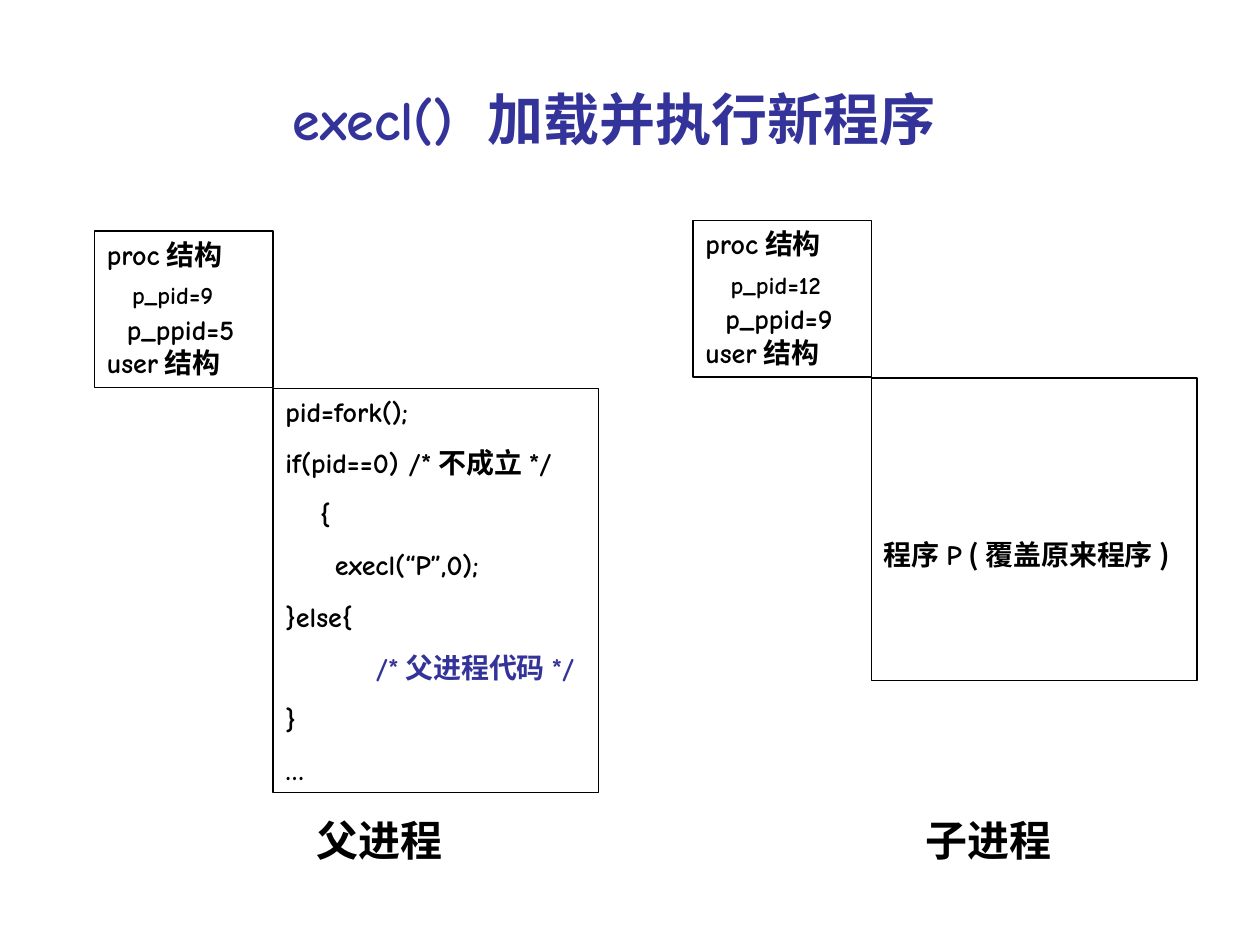
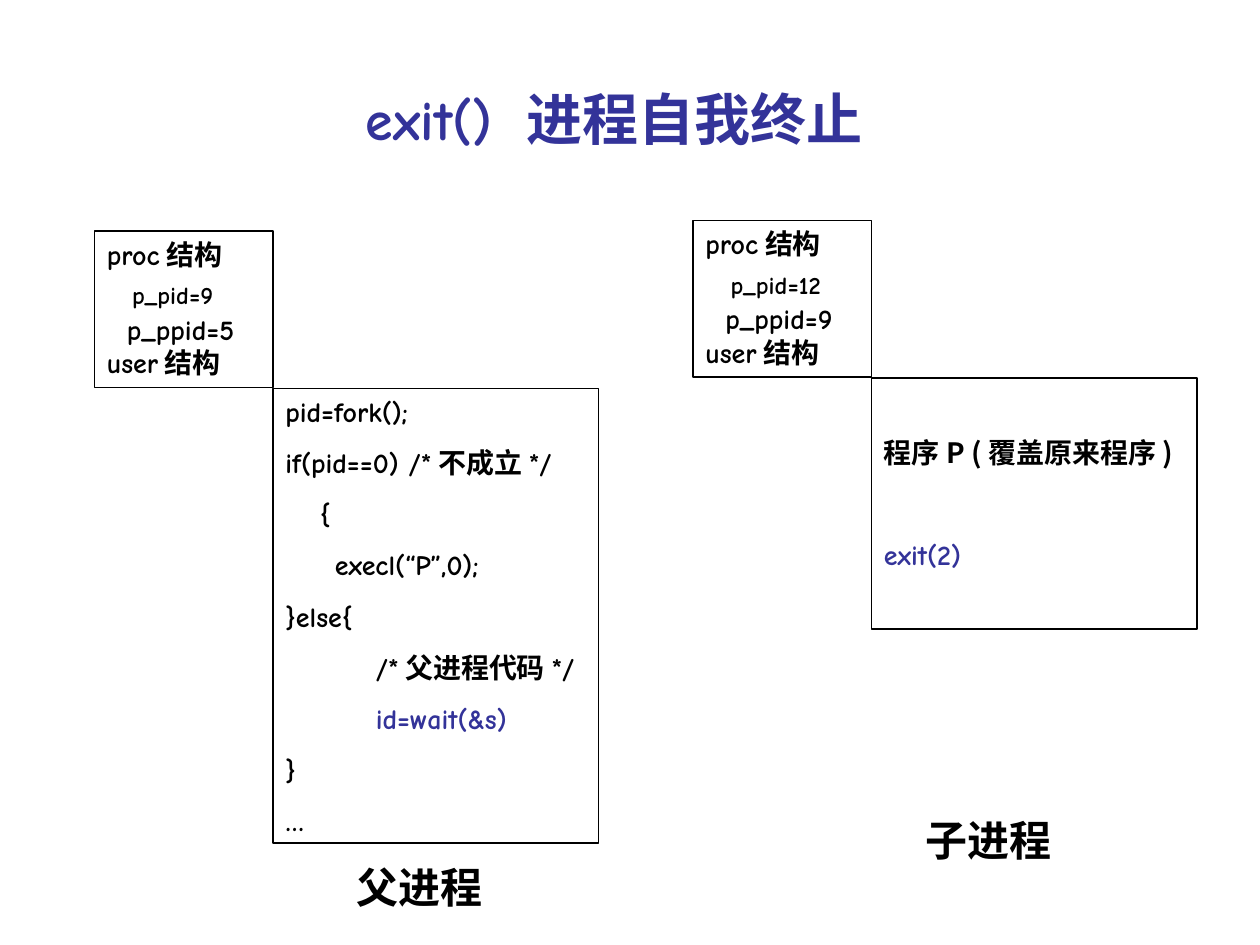
from dataclasses import dataclass

from pptx import Presentation
from pptx.dml.color import RGBColor
from pptx.enum.shapes import MSO_SHAPE
from pptx.enum.text import MSO_ANCHOR, PP_ALIGN
from pptx.util import Inches, Pt


@dataclass(frozen=True)
class Theme:
    ink: RGBColor = RGBColor(0x00, 0x00, 0x00)
    accent: RGBColor = RGBColor(0x33, 0x33, 0x99)
    latin: str = "Comic Neue"
    chinese: str = "Noto Sans CJK SC"
    serif: str = "Times New Roman"
    title_size: int = 32
    label_size: int = 24
    body_size: int = 16
    small_size: int = 14
    outline: float = 0.75


theme = Theme()

presentation = Presentation()
presentation.slide_width = Inches(10)
presentation.slide_height = Inches(7.5)
unit = presentation.slide_width / 120  # the slide is a grid of 120 columns by 90 rows

LINE_GAP = 10  # points between lines of code
LINE_PITCH = 29.2  # points from one line of code to the next
BOX_WIDTH, BODY_WIDTH = 17, 31
BOX_HEIGHT = 14.9
BODY_DROP = 15  # rows from the top of a structure box to its program box


def add_box(slide, left, top, width, height, outlined=True):
    """Place an empty rectangle or text box by grid columns and rows; return its shape."""
    place = [round(value * unit) for value in (left, top, width, height)]
    if outlined:
        shape = slide.shapes.add_shape(MSO_SHAPE.RECTANGLE, *place)
        shape.shadow.inherit = False
        shape.fill.background()
        shape.line.color.rgb = theme.ink
        shape.line.width = Pt(theme.outline)
    else:
        shape = slide.shapes.add_textbox(*place)
    shape.text_frame.word_wrap = True
    shape.text_frame.vertical_anchor = MSO_ANCHOR.TOP
    return shape


def add_line(shape, runs, size=theme.body_size, gap=0, indent=0, align=PP_ALIGN.LEFT):
    """Add a paragraph of (text, font, colour) runs, reusing the empty first paragraph."""
    frame = shape.text_frame
    paragraph = frame.paragraphs[0]
    if paragraph.runs:
        paragraph = frame.add_paragraph()
        paragraph.space_before = Pt(gap)
    paragraph.alignment = align
    if indent:
        paragraph._p.get_or_add_pPr().set("marL", str(Inches(indent)))
    for text, font, colour in runs:
        run = paragraph.add_run()
        run.text = text
        run.font.name = font
        run.font.size = Pt(size)
        run.font.bold = True
        run.font.color.rgb = colour


code_start = [
    ("pid=fork();", theme.ink),
    ("if(pid==0) /*不成立*/", theme.ink),
    ("　{", theme.ink),
    ("     execl(“P”,0);", theme.ink),
    ("}else{", theme.ink),
]
code_end = [("}", theme.ink), ("…", theme.ink)]

slides = [
    {
        "title": ("execl() ", "加载并执行新程序"),
        "parent_code": [("　　　/*父进程代码*/", theme.accent)],
        "parent_height": 38.5,
        "parent_label": (29, 77),
        "child_height": 28.8,
        "child_skip": 3,
        "child_lines": [
            [
                ("程序", theme.chinese, theme.ink),
                ("P", theme.latin, theme.ink),
                (" (覆盖原来程序)", theme.chinese, theme.ink),
            ]
        ],
    },
    {
        "title": ("exit() ", "进程自我终止"),
        "parent_code": [
            ("　　　/*父进程代码*/", theme.ink),
            ("　　　id=wait(&s)", theme.accent),
        ],
        "parent_height": 43.3,
        "parent_label": (32.8, 81.5),
        "child_height": 23.9,
        "child_skip": 1,
        "child_lines": [
            [("程序P (覆盖原来程序)", theme.chinese, theme.ink)],
            [("exit(2)", theme.latin, theme.accent)],
        ],
    },
]

processes = [(9, 22, 9, 5), (66, 21, 12, 9)]  # left, top, own id, parent's id

for content in slides:
    slide = presentation.slides.add_slide(presentation.slide_layouts[6])

    # Program boxes, each hanging from the lower right corner of its structure box
    body_heights = (content["parent_height"], content["child_height"])
    parent_body, child_body = [
        add_box(slide, left + BOX_WIDTH, top + BODY_DROP, BODY_WIDTH, height)
        for (left, top, _, _), height in zip(processes, body_heights)
    ]
    for text, colour in code_start + content["parent_code"] + code_end:
        add_line(parent_body, [(text, theme.latin, colour)], gap=LINE_GAP)

    child_body.text_frame.margin_top = Inches(0.05) + Pt(content["child_skip"] * LINE_PITCH)
    for runs in content["child_lines"]:
        add_line(child_body, runs, gap=LINE_GAP + LINE_PITCH)

    # Process structures
    for left, top, process_id, parent_id in processes:
        structure = add_box(slide, left, top, BOX_WIDTH, BOX_HEIGHT)
        for text, size, gap, indent in (
            ("proc结构", theme.body_size, 0, 0),
            (f"p_pid={process_id}", theme.small_size, 5.5, 0.2),
            (f"p_ppid={parent_id}", theme.body_size, 1.5, 0.16),
            ("user结构", theme.body_size, 0, 0),
        ):
            add_line(structure, [(text, theme.latin, theme.ink)], size, gap, indent)

    # Process names and title
    for text, place in (("父进程", content["parent_label"]), ("子进程", (87, 77))):
        label = add_box(slide, *place, 15, 6, outlined=False)
        add_line(label, [(text, theme.serif, theme.ink)], theme.label_size)

    call, meaning = content["title"]
    title = add_box(slide, 9, 7.5, 99, 7.7, outlined=False)
    add_line(
        title,
        [(call, theme.latin, theme.accent), (meaning, theme.serif, theme.accent)],
        theme.title_size,
        align=PP_ALIGN.CENTER,
    )

presentation.save("out.pptx")
